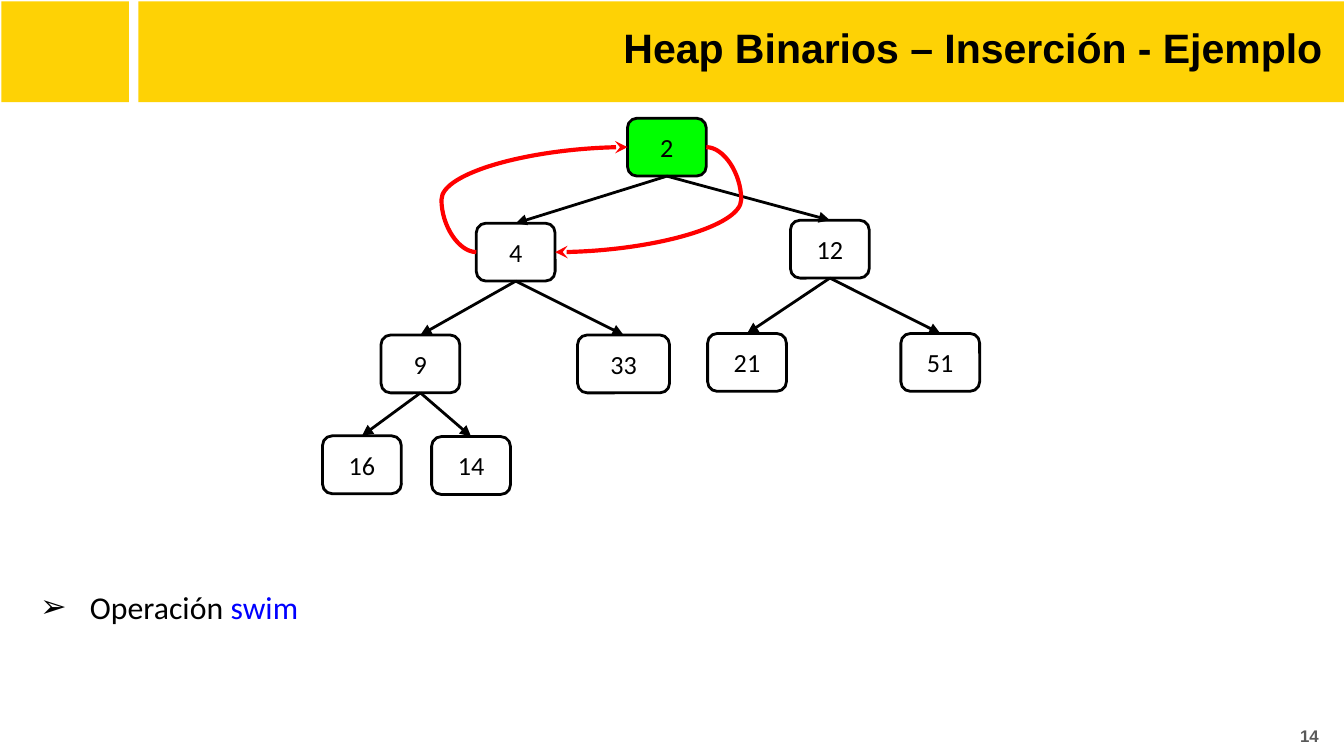
from lxml import etree
from pptx import Presentation
from pptx import util as u
from pptx.dml.color import RGBColor
from pptx.enum import shapes, text
from pptx.oxml import ns

WIDTH = 10
HEIGHT = WIDTH * 9 / 16
BLACK, YELLOW, GREEN, RED = "000000", "FED205", "00FF00", "FF0000"
GREY, BLUE, WHITE = "595959", "0000FF", "FFFFFF"

# Value: (centre and top as percentages of the tree's box, parent)
NODES = {
    "2": (52.4, 0, None),
    "4": (29.4, 27.9, "2"),
    "12": (77.2, 27.1, "2"),
    "9": (14.9, 57.6, "4"),
    "33": (45.8, 57.6, "4"),
    "21": (64.6, 57.2, "12"),
    "51": (94, 57.2, "12"),
    "16": (6, 84.4, "9"),
    "14": (22.6, 84.6, "9"),
}
TOP, LEFT, BOTTOM, RIGHT = range(4)


def color(value):
    return RGBColor.from_string(value)


def inches(*lengths):
    return [u.Inches(length) for length in lengths]


def add_child(parent, tag, **attributes):
    return etree.SubElement(parent, ns.qn(tag), attributes)


def set_font(font, name, size, fill, bold=False):
    font.name, font.size, font.bold = name, u.Pt(size), bold
    font.color.rgb = color(fill)


def prepare_frame(frame, anchor):
    """Set wrapping, anchor and margins; return the first paragraph."""
    frame.word_wrap = True
    frame.vertical_anchor = anchor
    frame.margin_left = frame.margin_right = u.Inches(0.1)
    frame.margin_top = frame.margin_bottom = u.Inches(0.1)
    return frame.paragraphs[0]


def add_label(slide, box, label, size, fill, anchor):
    """Add one line of bold, right-aligned Arial."""
    shape = slide.shapes.add_textbox(*inches(*box))
    paragraph = prepare_frame(shape.text_frame, anchor)
    paragraph.text = label
    paragraph.alignment = text.PP_ALIGN.RIGHT
    set_font(paragraph.font, "Arial", size, fill, bold=True)


def add_header(slide, box, title):
    left, top, width, height = box
    block_width, gap = 0.95, 0.07
    band_left = left + block_width + gap
    band_width = width - block_width - gap
    for start, length in ((left, block_width), (band_left, band_width)):
        band = slide.shapes.add_shape(
            shapes.MSO_SHAPE.RECTANGLE, *inches(start, top, length, height))
        band.shadow.inherit = False
        band.fill.solid()
        band.fill.fore_color.rgb = color(YELLOW)
        band.line.fill.background()
    inset = 0.06
    title_box = (band_left + inset, top + inset,
                 band_width - 2 * inset, height - 2 * inset)
    add_label(slide, title_box, title, 22, BLACK, text.MSO_ANCHOR.TOP)


def add_node(slide, box, value, fill):
    node = slide.shapes.add_shape(
        shapes.MSO_SHAPE.ROUNDED_RECTANGLE, *inches(*box))
    node.shadow.inherit = False
    node.adjustments[0] = 1 / 6
    node.fill.solid()
    node.fill.fore_color.rgb = color(fill)
    node.line.color.rgb = color(BLACK)
    node.line.width = u.Pt(1.5)
    paragraph = prepare_frame(node.text_frame, text.MSO_ANCHOR.MIDDLE)
    paragraph.text = value
    paragraph.alignment = text.PP_ALIGN.CENTER
    set_font(paragraph.font, "Calibri", 14, BLACK)
    return node


def join(slide, kind, start, start_side, end, end_side, fill, width, head):
    """Join two nodes with an arrow between the given sides."""
    connector = slide.shapes.add_connector(kind, 0, 0, 0, 0)
    connector.begin_connect(start, start_side)
    connector.end_connect(end, end_side)
    connector.line.color.rgb = color(fill)
    connector.line.width = u.Pt(width)
    line = connector._element.spPr.find(ns.qn("a:ln"))
    add_child(line, "a:tailEnd", type=head)
    add_child(connector._element.spPr, "a:effectLst")
    return connector


def add_swap(slide, start, end, side):
    """Join two nodes with a curve that bulges out on one side."""
    curve = join(slide, shapes.MSO_CONNECTOR.CURVE, start, side, end, side,
                 RED, 2.25, "stealth")
    geometry = curve._element.spPr.find(ns.qn("a:prstGeom"))
    values = geometry.find(ns.qn("a:avLst"))
    if values is None:
        values = add_child(geometry, "a:avLst")
    add_child(values, "a:gd", name="adj1", fmla="val -23100")


def add_tree(slide, box):
    left, top, width, height = box
    nodes = {}
    for value, (centre, node_top, parent) in NODES.items():
        node_width = (0.14 if value == "33" else 0.12) * width
        node_box = (left + centre / 100 * width - node_width / 2,
                    top + node_top / 100 * height, node_width, height * 2 / 13)
        nodes[value] = add_node(slide, node_box, value,
                                WHITE if parent else GREEN)
        if parent:
            join(slide, shapes.MSO_CONNECTOR.STRAIGHT, nodes[parent], BOTTOM,
                 nodes[value], TOP, BLACK, 1.5, "triangle")
    add_swap(slide, nodes["4"], nodes["2"], LEFT)
    add_swap(slide, nodes["2"], nodes["4"], RIGHT)


def add_operation(slide, box):
    shape = slide.shapes.add_textbox(*inches(*box))
    paragraph = prepare_frame(shape.text_frame, text.MSO_ANCHOR.TOP)
    paragraph.line_spacing = 1.5
    for words, fill in (("Operación ", BLACK), ("swim", BLUE)):
        run = paragraph.add_run()
        run.text = words
        set_font(run.font, "Calibri", 17, fill)
    properties = paragraph._p.get_or_add_pPr()
    properties.set("marL", str(u.Inches(0.5)))
    properties.set("indent", str(u.Inches(-0.37)))
    bullet_color = add_child(properties, "a:buClr")
    add_child(bullet_color, "a:srgbClr", val=BLACK)
    add_child(properties, "a:buFont", typeface="Arial")
    add_child(properties, "a:buChar", char="➢")


def main():
    presentation = Presentation()
    presentation.slide_width, presentation.slide_height = inches(WIDTH, HEIGHT)
    slide = presentation.slides.add_slide(presentation.slide_layouts[6])
    add_header(slide, (0.01, 0.01, WIDTH - 0.01, 0.75),
               "Heap Binarios – Inserción - Ejemplo")
    add_label(slide, (9.47, 5.26, 0.44, 0.43), "14", 9, GREY,
              text.MSO_ANCHOR.MIDDLE)
    add_tree(slide, (2.4, 0.88, 4.89, 2.8))
    add_operation(slide, (0.07, 4.13, 3.28, 0.49))
    presentation.save("out.pptx")


if __name__ == "__main__":
    main()
